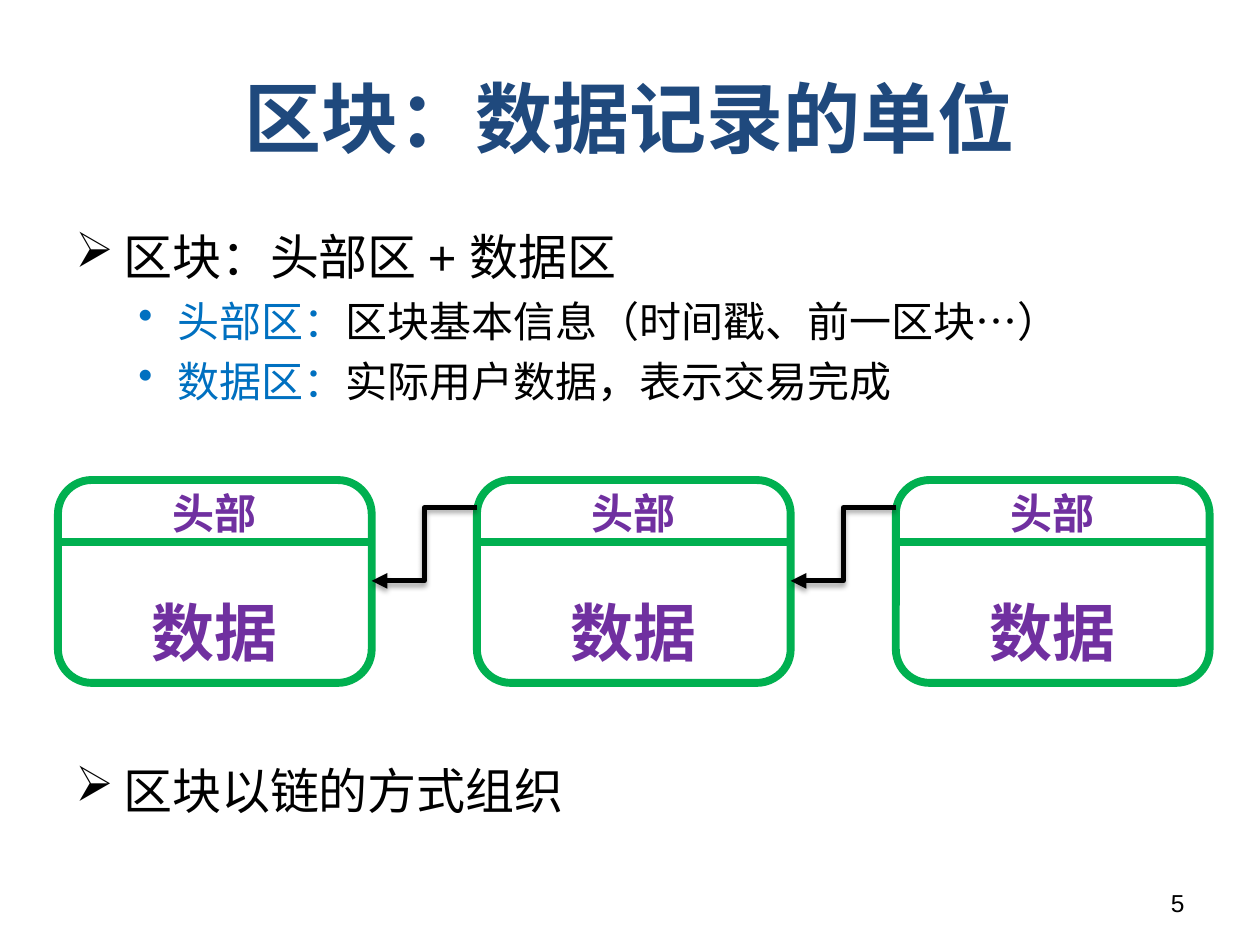
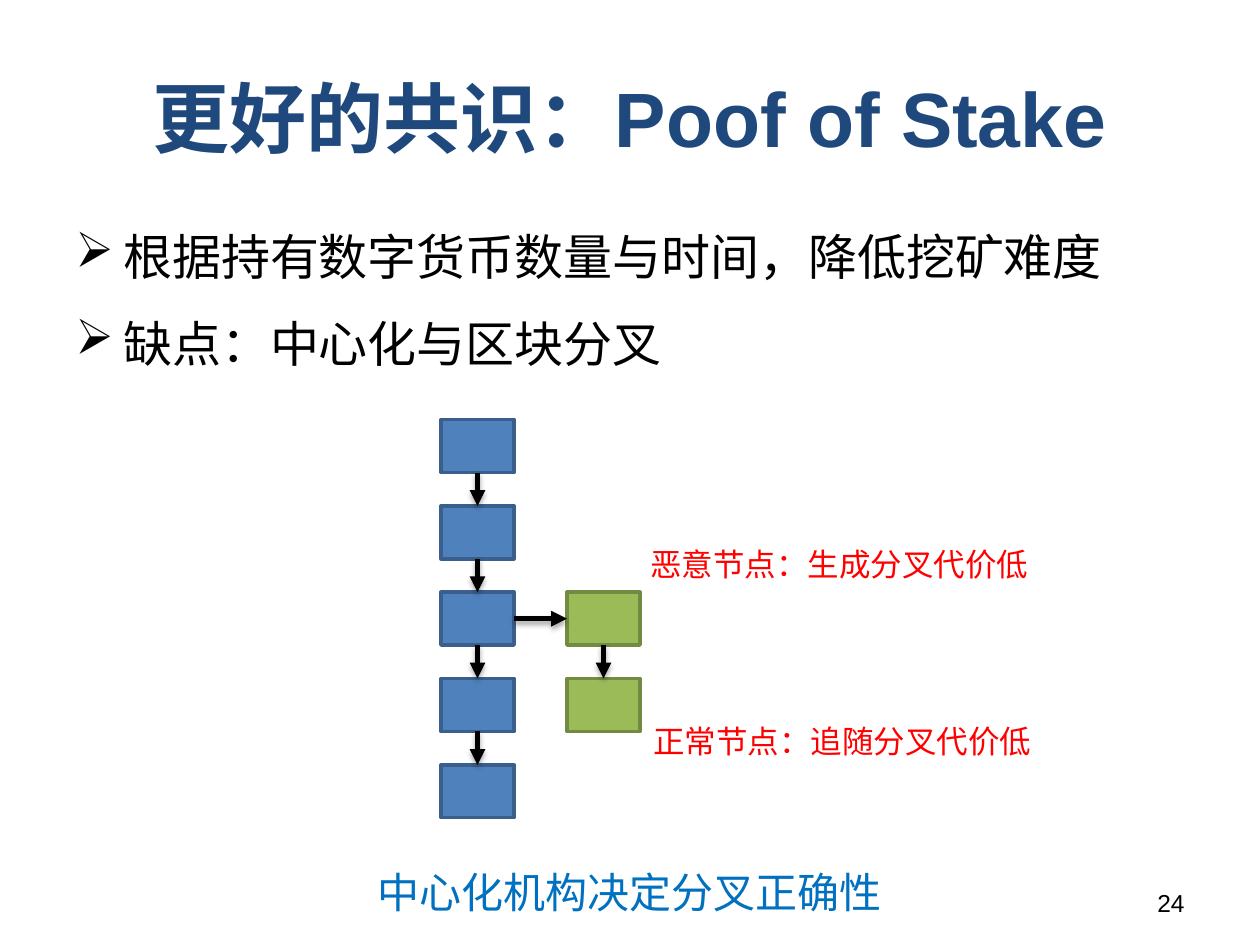
"""Build two slides on how blocks are chained and how proof of stake can fork."""
from lxml import etree
from pptx import Presentation
from pptx.dml.color import RGBColor
from pptx.enum.shapes import MSO_CONNECTOR, MSO_SHAPE
from pptx.enum.text import MSO_ANCHOR, PP_ALIGN
from pptx.oxml.ns import qn
from pptx.util import Inches, Pt

STRAIGHT, ELBOW = MSO_CONNECTOR.STRAIGHT, MSO_CONNECTOR.ELBOW
RECTANGLE, ROUNDED = MSO_SHAPE.RECTANGLE, MSO_SHAPE.ROUNDED_RECTANGLE
TOP, MIDDLE = MSO_ANCHOR.TOP, MSO_ANCHOR.MIDDLE
LEFT, CENTER, RIGHT = PP_ALIGN.LEFT, PP_ALIGN.CENTER, PP_ALIGN.RIGHT

FONT = "Arial"
BLACK, NAVY, BLUE = "000000", "1F497D", "0070C0"
GREEN, PURPLE, RED = "00B050", "7030A0", "FF0000"
MAIN_CHAIN = ("4F81BD", "3A5F8C")
FORK = ("9BBB59", "738A42")


def rgb(color):
    return RGBColor.from_string(color)


class Deck:
    def __init__(self):
        self.presentation = Presentation()
        self.presentation.slide_width = Inches(10)
        self.presentation.slide_height = Inches(7.5)
        self.slide = None

    def style(self, paragraph, size, color, bold=False, align=LEFT):
        paragraph.alignment = align
        font = paragraph.font
        font.name, font.size, font.bold = FONT, Pt(size), bold
        font.color.rgb = rgb(color)

    def new_slide(self, title, number):
        layout = self.presentation.slide_layouts[5]
        self.slide = self.presentation.slides.add_slide(layout)
        shape = self.slide.shapes.title
        shape.left, shape.top = Inches(0.5), Inches(0.3)
        shape.width, shape.height = Inches(9), Inches(1.25)
        shape.text_frame.text = title
        shape.text_frame.vertical_anchor = MIDDLE
        self.style(shape.text_frame.paragraphs[0], 44, NAVY, True, CENTER)
        self.text(str(number), 7.17, 7, 2.33, 0.35, 14, BLACK, align=RIGHT)

    def frame(self, left, top, width, height, anchor=TOP):
        box = self.slide.shapes.add_textbox(
            Inches(left), Inches(top), Inches(width), Inches(height))
        box.text_frame.word_wrap = True
        box.text_frame.vertical_anchor = anchor
        return box.text_frame

    def text(self, words, left, top, width, height, size, color,
             bold=False, align=CENTER, anchor=TOP, spacing=None):
        paragraph = self.frame(left, top, width, height, anchor).paragraphs[0]
        paragraph.text = words
        paragraph.line_spacing = spacing
        self.style(paragraph, size, color, bold, align)

    def bullets(self, items, top, height):
        frame = self.frame(0.5, top, 9, height)
        for index, (level, lead, words) in enumerate(items):
            paragraph = frame.add_paragraph() if index else frame.paragraphs[0]
            margin, indent, mark, size, gap = (
                (0.81, 0.31, "•", 24, 5.5) if level else (0.38, 0.38, "➢", 28, 16))
            paragraph.level = level
            paragraph.space_before = Pt(gap if index else 0)
            properties = paragraph._p.get_or_add_pPr()
            properties.set("marL", str(Inches(margin)))
            properties.set("indent", str(-Inches(indent)))
            etree.SubElement(properties, qn("a:buChar"), char=mark)
            self.style(paragraph, size, BLACK)
            for part, color in ((lead, BLUE), (words, BLACK)):
                if part:
                    run = paragraph.add_run()
                    run.text = part
                    run.font.color.rgb = rgb(color)

    def box(self, kind, left, top, width, height, line, line_width, fill=None):
        shape = self.slide.shapes.add_shape(
            kind, Inches(left), Inches(top), Inches(width), Inches(height))
        shape.shadow.inherit = False
        if fill:
            shape.fill.solid()
            shape.fill.fore_color.rgb = rgb(fill)
        else:
            shape.fill.background()
        shape.line.color.rgb = rgb(line)
        shape.line.width = Pt(line_width)

    def line(self, start, end, color, width, kind=STRAIGHT):
        connector = self.slide.shapes.add_connector(
            kind, *(Inches(value) for value in (*start, *end)))
        connector.line.color.rgb = rgb(color)
        connector.line.width = Pt(width)
        effects = etree.SubElement(connector._element.spPr, qn("a:effectLst"))
        return connector, effects

    def arrow(self, start, end, kind=STRAIGHT):
        connector, effects = self.line(start, end, BLACK, 3, kind)
        etree.SubElement(connector.line._get_or_add_ln(), qn("a:tailEnd"), type="triangle")
        shadow = etree.SubElement(
            effects, qn("a:outerShdw"), blurRad=str(Pt(3.1)), dist=str(Pt(1.8)),
            dir="5400000", rotWithShape="0")
        color = etree.SubElement(shadow, qn("a:srgbClr"), val=BLACK)
        etree.SubElement(color, qn("a:alpha"), val="35000")


def build_block_slide(deck):
    deck.new_slide("区块：数据记录的单位", 5)
    deck.bullets([
        (0, "", "区块：头部区 + 数据区"),
        (1, "头部区：", "区块基本信息（时间戳、前一区块…）"),
        (1, "数据区：", "实际用户数据，表示交易完成"),
    ], 1.75, 1.75)
    deck.bullets([(0, "", "区块以链的方式组织")], 5.99, 0.7)

    width, pitch = 2.49, 3.325
    lefts = [0.46 + pitch * index for index in range(3)]
    for left in lefts:
        for words, top, size in (("头部", 3.68, 24), ("数据", 4.57, 36)):
            deck.text(words, left + 0.35, top, 1.79, 0.58, size, PURPLE,
                      bold=True, anchor=MIDDLE, spacing=1.5)
        deck.box(ROUNDED, left, 3.81, width, 1.61, GREEN, 4.5)
        deck.line((left, 4.3), (left + width, 4.3), GREEN, 4.5)
    for previous, current in zip(lefts, lefts[1:]):
        deck.arrow((current, 4.03), (previous + width, 4.61), ELBOW)


def build_stake_slide(deck):
    deck.new_slide("更好的共识：Poof of Stake", 24)
    deck.bullets([
        (0, "", "根据持有数字货币数量与时间，降低挖矿难度"),
        (0, "", "缺点：中心化与区块分叉"),
    ], 1.75, 4.95)

    width, height = 0.58, 0.42
    tops = [3.33 + 0.685 * index for index in range(5)]
    main_left, fork_left = 3.5, 4.5
    chains = ((main_left, tops, MAIN_CHAIN), (fork_left, tops[2:4], FORK))
    for left, chain_tops, (fill, line) in chains:
        for top in chain_tops:
            deck.box(RECTANGLE, left, top, width, height, line, 2, fill)
    for left, chain_tops, _ in chains:
        center = left + width / 2
        for upper, lower in zip(chain_tops, chain_tops[1:]):
            deck.arrow((center, upper + height), (center, lower))
    fork_middle = tops[2] + height / 2
    deck.arrow((main_left + width, fork_middle), (fork_left, fork_middle))

    deck.text("恶意节点：生成分叉代价低", 4.73, 4.28, 3.86, 0.4, 18, RED)
    deck.text("正常节点：追随分叉代价低", 4.69, 5.68, 3.99, 0.4, 18, RED)
    deck.text("中心化机构决定分叉正确性", 2.29, 6.83, 5.41, 0.5, 24, BLUE)


def main():
    deck = Deck()
    build_block_slide(deck)
    build_stake_slide(deck)
    deck.presentation.save("out.pptx")


if __name__ == "__main__":
    main()
